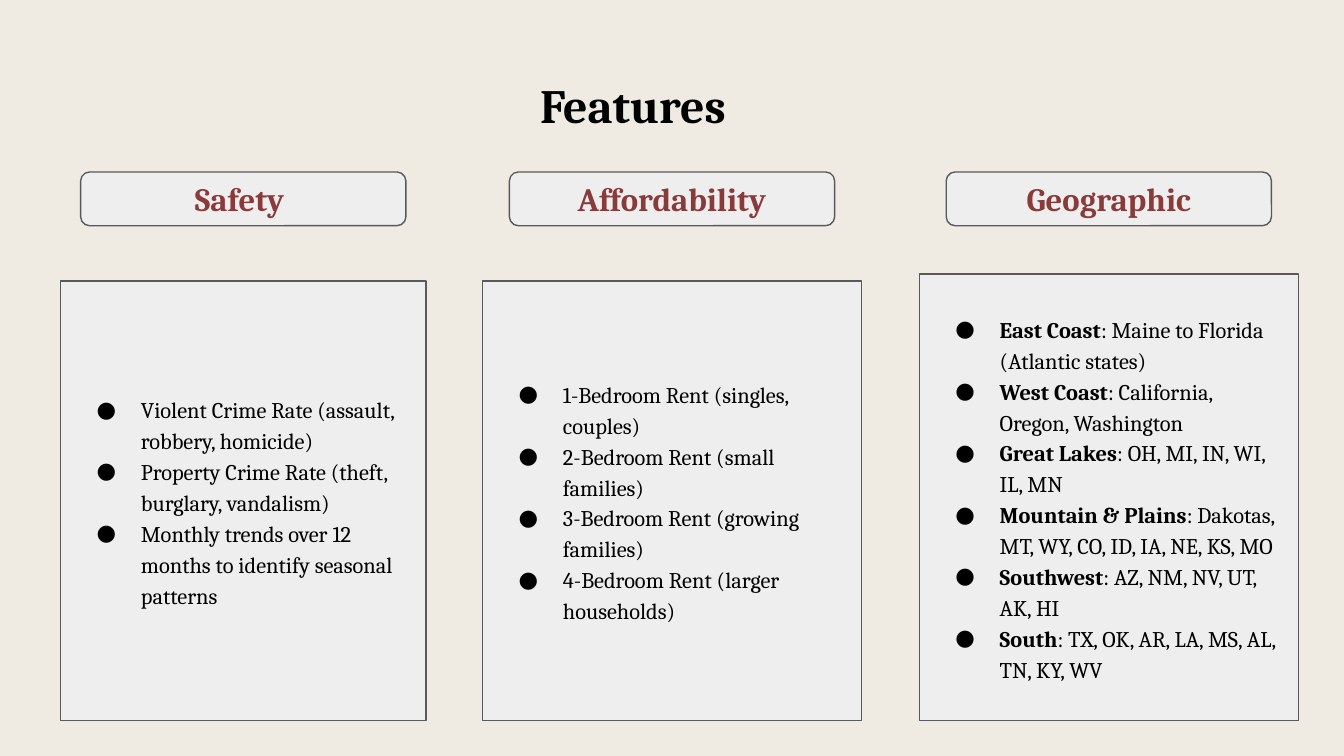
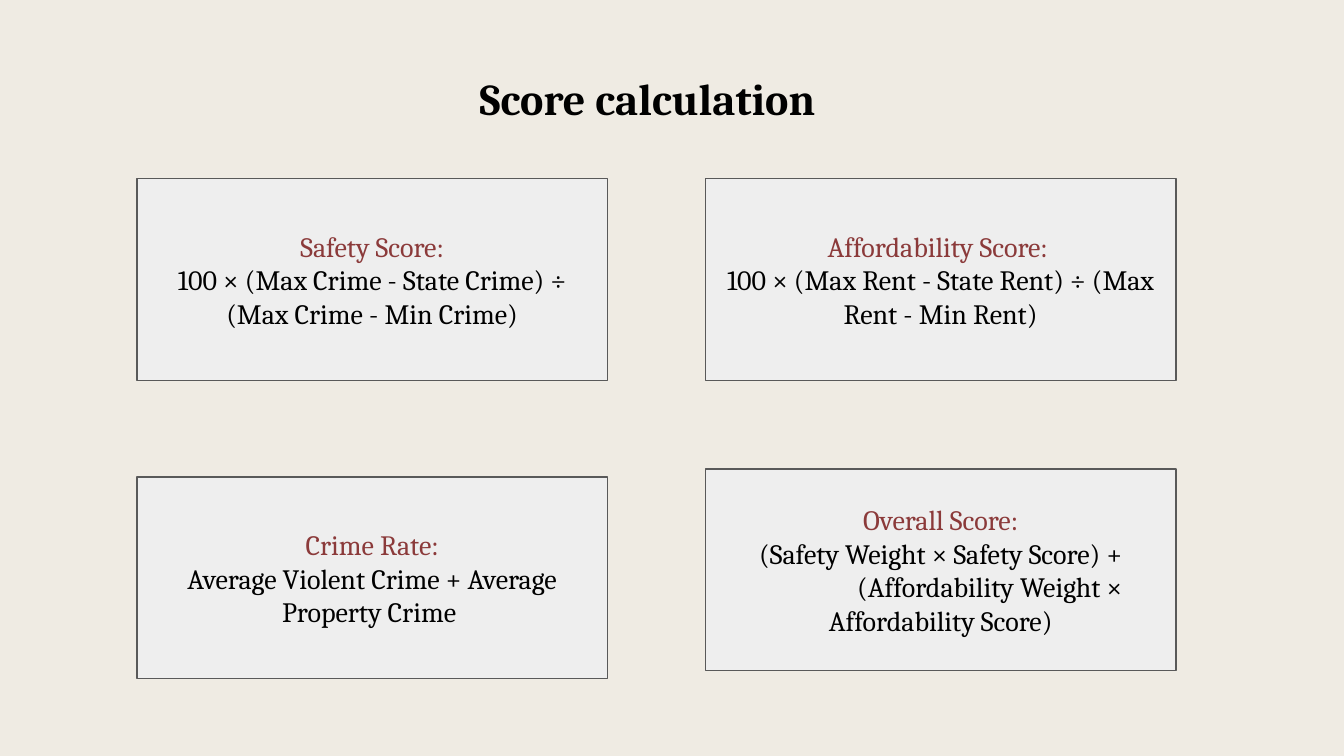
from dataclasses import dataclass

from lxml.etree import SubElement
from pptx import Presentation
from pptx.dml.color import RGBColor
from pptx.enum.shapes import MSO_SHAPE
from pptx.enum.text import MSO_ANCHOR, PP_ALIGN
from pptx.oxml.ns import qn
from pptx.shapes.base import BaseShape
from pptx.slide import Slide
from pptx.text.text import TextFrame, _Paragraph
from pptx.util import Inches, Pt

FONT = "Cambria"
BACKGROUND = RGBColor(0xEF, 0xEB, 0xE3)
PANEL = RGBColor(0xEE, 0xEE, 0xEE)
OUTLINE = RGBColor(0x59, 0x59, 0x59)
INK = RGBColor(0x00, 0x00, 0x00)
ACCENT = RGBColor(0x8B, 0x3A, 0x3A)

SLIDE_WIDTH = Inches(10)
SLIDE_HEIGHT = SLIDE_WIDTH * 9 // 16
CARD_BOTTOM = 5.36
HEADING_TOP, HEADING_WIDTH, HEADING_HEIGHT = 1.28, 2.42, 0.4
SCORE_WIDTH, SCORE_HEIGHT = 3.5, 1.5
SCORE_LEFT, SCORE_RIGHT = 1.02, 5.25


@dataclass(frozen=True)
class Item:
    text: str
    lead: str = ""


@dataclass(frozen=True)
class Feature:
    heading: str
    left: float
    top: float
    width: float
    items: tuple[Item, ...]


@dataclass(frozen=True)
class Formula:
    text: str
    indent: float = 0


@dataclass(frozen=True)
class Score:
    name: str
    left: float
    top: float
    formulas: tuple[Formula, ...]


FEATURES = (
    Feature("Safety ", 0.45, 2.09, 2.72, (
        Item("Violent Crime Rate (assault, robbery, homicide)"),
        Item("Property Crime Rate (theft, burglary, vandalism)"),
        Item("Monthly trends over 12 months to identify seasonal patterns"),
    )),
    Feature("Affordability", 3.59, 2.09, 2.82, (
        Item("1-Bedroom Rent (singles, couples)"),
        Item("2-Bedroom Rent (small families)"),
        Item("3-Bedroom Rent (growing families)"),
        Item("4-Bedroom Rent (larger households)"),
    )),
    Feature("Geographic", 6.84, 2.04, 2.82, (
        Item(": Maine to Florida (Atlantic states)", "East Coast"),
        Item(": California, Oregon, Washington", "West Coast"),
        Item(": OH, MI, IN, WI, IL, MN", "Great Lakes"),
        Item(": Dakotas, MT, WY, CO, ID, IA, NE, KS, MO", "Mountain & Plains"),
        Item(": AZ, NM, NV, UT, AK, HI", "Southwest"),
        Item(": TX, OK, AR, LA, MS, AL, TN, KY, WV", "South"),
    )),
)

SCORES = (
    Score("Safety Score:", SCORE_LEFT, 1.33, (
        Formula("100 × (Max Crime - State Crime) ÷ (Max Crime - Min Crime)"),
    )),
    Score("Affordability Score: ", SCORE_RIGHT, 1.33, (
        Formula("100 × (Max Rent - State Rent) ÷ (Max Rent - Min Rent)"),
    )),
    Score("Crime Rate:", SCORE_LEFT, 3.55, (
        Formula("Average Violent Crime + Average Property Crime "),
    )),
    Score("Overall Score:", SCORE_RIGHT, 3.49, (
        Formula("(Safety Weight × Safety Score) +"),
        Formula("(Affordability Weight × Affordability Score)", indent=0.73),
    )),
)


def prepare_frame(shape: BaseShape, anchor: MSO_ANCHOR) -> TextFrame:
    frame = shape.text_frame
    frame.word_wrap = True
    frame.vertical_anchor = anchor
    frame.margin_left = frame.margin_right = Inches(0.1)
    frame.margin_top = frame.margin_bottom = Inches(0.1)
    return frame


def set_indent(paragraph: _Paragraph, margin: float, first_line: float) -> None:
    properties = paragraph._p.get_or_add_pPr()
    properties.set("marL", str(Inches(margin)))
    properties.set("indent", str(Inches(first_line)))


def add_bullet(paragraph: _Paragraph, size: float) -> None:
    set_indent(paragraph, 0.5, -0.33)
    properties = paragraph._p.get_or_add_pPr()
    color = SubElement(properties, qn("a:buClr"))
    SubElement(color, qn("a:srgbClr"), val=str(INK))
    SubElement(properties, qn("a:buSzPts"), val=str(int(size * 100)))
    SubElement(properties, qn("a:buFont"), typeface=FONT)
    SubElement(properties, qn("a:buChar"), char="●")


def write(
    frame: TextFrame,
    text: str,
    *,
    size: float,
    lead: str = "",
    color: RGBColor = INK,
    bold: bool = False,
    align: PP_ALIGN = PP_ALIGN.LEFT,
    line_spacing: float = 1.0,
    space_after: float = 0,
    bullet: bool = False,
    indent: float = 0,
) -> None:
    """Append a paragraph, with an optional bold lead, reusing an empty first one."""
    first = frame.paragraphs[0]
    paragraph = frame.add_paragraph() if first.runs else first
    paragraph.alignment = align
    paragraph.line_spacing = line_spacing
    paragraph.space_before = Pt(0)
    paragraph.space_after = Pt(space_after)
    if bullet:
        add_bullet(paragraph, size)
    elif indent:
        set_indent(paragraph, 0, indent)
    paragraph.font.size = Pt(size)
    for part, is_bold in ((lead, True), (text, bold)):
        if part:
            run = paragraph.add_run()
            run.text = part
            run.font.name = FONT
            run.font.size = Pt(size)
            run.font.bold = is_bold
            run.font.color.rgb = color


def add_panel(
    slide: Slide, left: float, top: float, width: float, height: float,
    outline: MSO_SHAPE = MSO_SHAPE.RECTANGLE,
) -> TextFrame:
    panel = slide.shapes.add_shape(
        outline, Inches(left), Inches(top), Inches(width), Inches(height)
    )
    panel.shadow.inherit = False
    panel.fill.solid()
    panel.fill.fore_color.rgb = PANEL
    panel.line.color.rgb = OUTLINE
    panel.line.width = Pt(0.75)
    return prepare_frame(panel, MSO_ANCHOR.MIDDLE)


def add_titled_slide(
    deck: Presentation, title: str, left: float, top: float, width: float, size: float
) -> Slide:
    slide = deck.slides.add_slide(deck.slide_layouts[6])
    slide.background.fill.solid()
    slide.background.fill.fore_color.rgb = BACKGROUND
    title_box = slide.shapes.add_textbox(
        Inches(left), Inches(top), Inches(width), Inches(0.63)
    )
    frame = prepare_frame(title_box, MSO_ANCHOR.TOP)
    write(frame, title, size=size, bold=True, line_spacing=1.15, space_after=23)
    return slide


def add_feature(slide: Slide, feature: Feature) -> None:
    card = add_panel(
        slide, feature.left, feature.top, feature.width, CARD_BOTTOM - feature.top
    )
    for item in feature.items:
        write(card, item.text, lead=item.lead, size=12, line_spacing=1.15, bullet=True)
    heading_left = feature.left + (feature.width - HEADING_WIDTH) / 2
    heading = add_panel(
        slide, heading_left, HEADING_TOP, HEADING_WIDTH, HEADING_HEIGHT,
        MSO_SHAPE.ROUNDED_RECTANGLE,
    )
    write(heading, feature.heading, size=17.5, color=ACCENT, bold=True,
          align=PP_ALIGN.CENTER)


def add_score(slide: Slide, score: Score) -> None:
    card = add_panel(slide, score.left, score.top, SCORE_WIDTH, SCORE_HEIGHT)
    write(card, score.name, size=15, color=ACCENT, align=PP_ALIGN.CENTER)
    for formula in score.formulas:
        write(card, formula.text, size=15, align=PP_ALIGN.CENTER, indent=formula.indent)


def main() -> None:
    deck = Presentation()
    deck.slide_width = SLIDE_WIDTH
    deck.slide_height = SLIDE_HEIGHT

    features = add_titled_slide(deck, "Features", 3.92, 0.4, 2.16, 25.6)
    for feature in FEATURES:
        add_feature(features, feature)

    calculation = add_titled_slide(deck, "Score calculation", 3.47, 0.37, 3.06, 23.6)
    for score in SCORES:
        add_score(calculation, score)

    deck.save("out.pptx")


if __name__ == "__main__":
    main()
